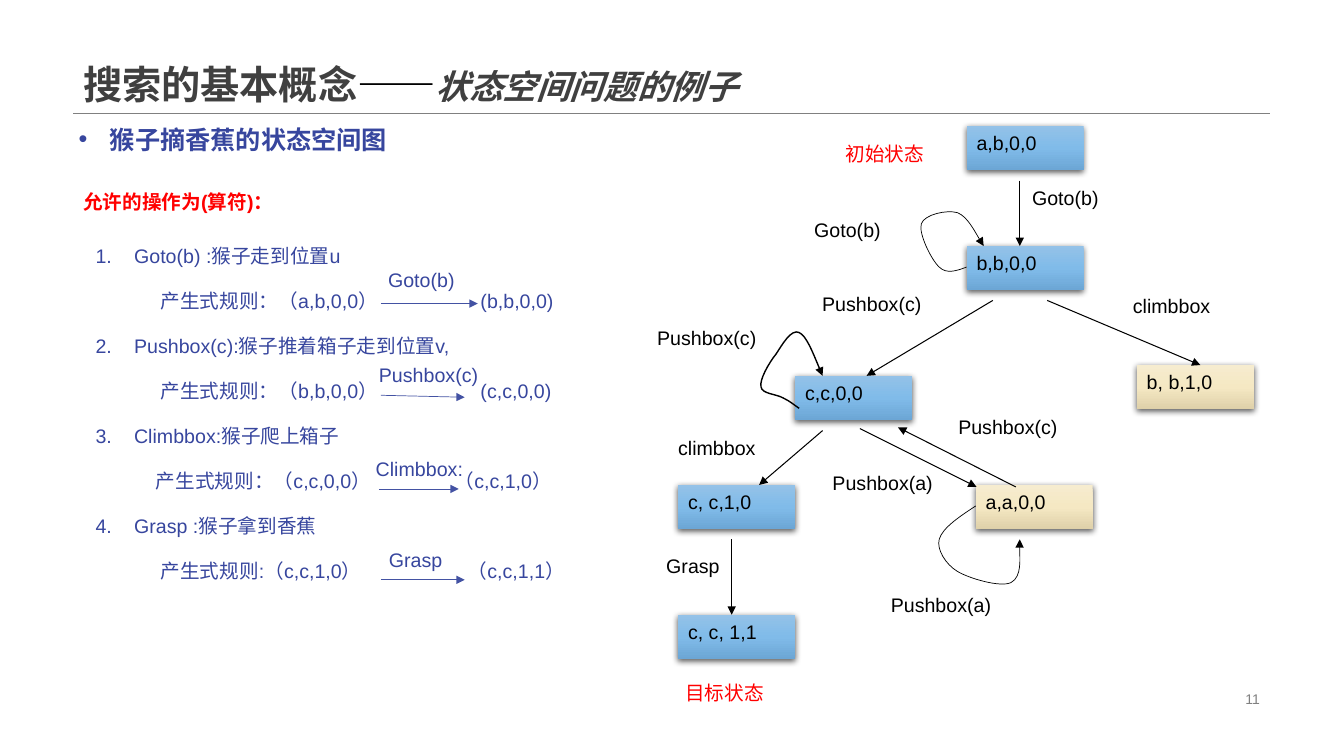
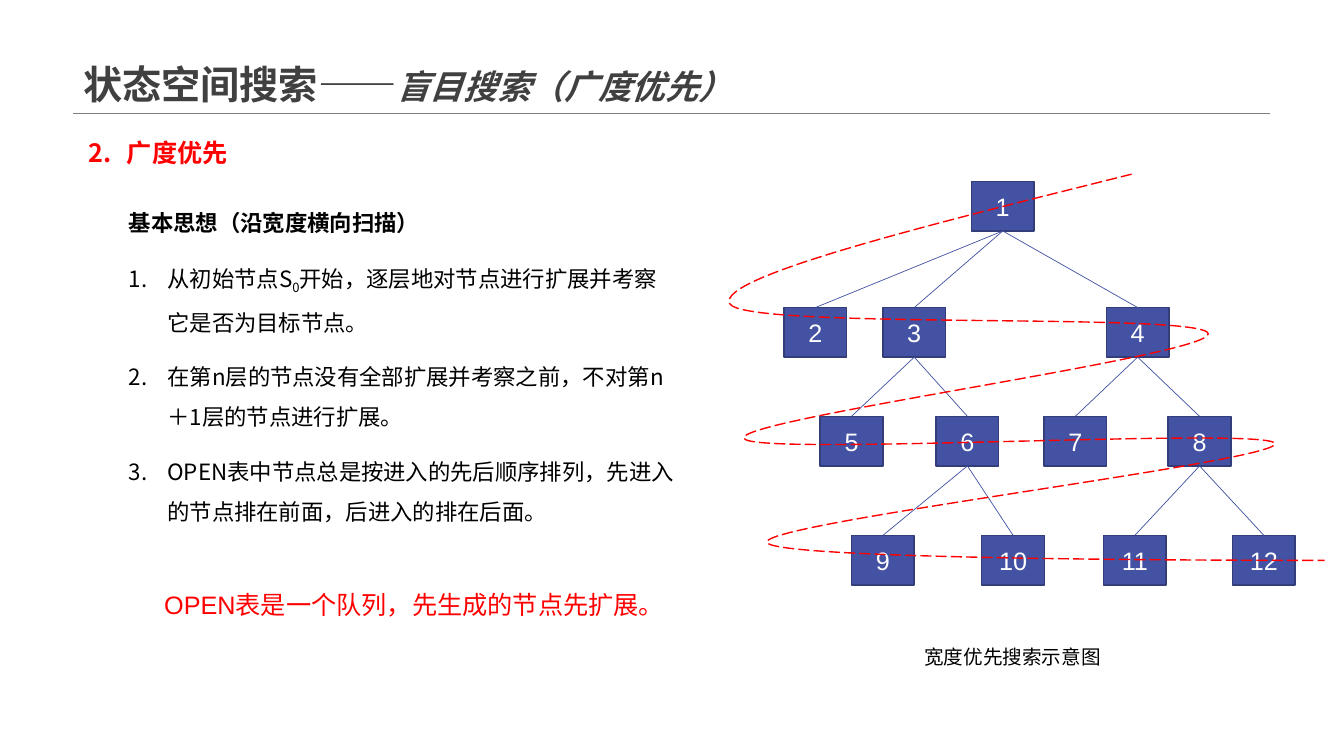
"""Build two slides on state-space search: a state graph and a breadth-first tree."""
from dataclasses import dataclass
from typing import Any, NamedTuple, Optional

from lxml.etree import SubElement
from pptx import Presentation
from pptx.dml.color import RGBColor
from pptx.enum.dml import MSO_LINE
from pptx.enum.lang import MSO_LANGUAGE_ID
from pptx.enum.shapes import MSO_CONNECTOR, MSO_SHAPE
from pptx.enum.text import MSO_ANCHOR, PP_ALIGN
from pptx.oxml.ns import qn
from pptx.util import Cm, Pt


@dataclass(frozen=True)
class Theme:
    black: str = "000000"
    white: str = "FFFFFF"
    gray: str = "808080"
    dark: str = "404040"
    red: str = "FF0000"
    blue: str = "37469E"
    fill: str = "4352A3"
    edge: str = "323D79"
    sky: tuple[str, ...] = ("94C2E8", "80BBE9", "6CA6D5")
    sand: tuple[str, ...] = ("F6ECCF", "F5E8C3", "DED0A9")
    face: str = "Arial"
    noto: str = "Noto Sans CJK SC"
    title: int = 28
    minor: int = 24
    head: int = 18
    body: int = 16
    small: int = 14
    note: int = 10


THEME = Theme()


@dataclass(frozen=True)
class Run:
    text: str
    size: int = THEME.small
    color: str = THEME.black
    bold: bool = False
    italic: bool = False
    face: str = THEME.face
    base: int = 0


@dataclass(frozen=True)
class Para:
    runs: tuple[Run, ...]
    indent: float = 0
    mark: str = ""
    start: int = 1
    lead: float = 1.0
    gap: Optional[int] = None
    half: bool = False
    tabs: tuple[float, ...] = ()
    align: PP_ALIGN = PP_ALIGN.LEFT


class State(NamedTuple):
    text: str
    left: float
    top: float
    tones: tuple[str, ...] = THEME.sky


class Label(NamedTuple):
    text: str
    left: float
    top: float
    color: str = THEME.black


class Curve(NamedTuple):
    width: float
    points: tuple[tuple[float, float], ...]


class Rule(NamedTuple):
    name: str
    before: str
    after: str
    tabs: tuple[float, float]


class Leaf(NamedTuple):
    mid: float
    row: int


STATES = (
    State("a,b,0,0", 24.36, 3.17), State("b,b,0,0", 24.36, 6.2),
    State("b, b,1,0", 28.65, 9.2, THEME.sand), State("c,c,0,0", 20.04, 9.47),
    State("a,a,0,0", 24.59, 12.22, THEME.sand), State("c, c,1,0", 17.09, 12.22),
    State("c, c, 1,1", 17.09, 15.49),
)
LABELS = (
    Label("Goto(b)", 25.76, 4.55), Label("climbbox", 28.3, 7.29),
    Label("Goto(b)", 20.27, 5.36), Label("Grasp", 16.54, 13.84),
    Label("climbbox", 16.84, 10.85), Label("Pushbox(c)", 16.31, 8.1),
    Label("Pushbox(a)", 22.2, 14.81), Label("Pushbox(c)", 23.9, 10.34),
    Label("Pushbox(a)", 20.73, 11.73), Label("Pushbox(c)", 20.47, 7.24),
    Label("初始状态", 21.06, 3.45, THEME.red), Label("目标状态", 17.02, 17.04, THEME.red),
    Label("Goto(b)", 9.53, 6.63, THEME.blue), Label("Pushbox(c)", 9.3, 9.02, THEME.blue),
    Label("Climbbox:", 9.22, 11.4, THEME.blue), Label("Grasp", 9.55, 13.67, THEME.blue),
)
MOVES = (
    (25.7, 4.55, 25.7, 6.2), (25.02, 7.57, 21.84, 9.47), (26.39, 7.57, 30.25, 9.2),
    (25.6, 12.27, 22.63, 10.77), (21.67, 10.8, 24.61, 12.27),
    (18.44, 13.59, 18.44, 15.49), (20.73, 10.85, 19.13, 12.22),
)
YIELDS = (
    (9.6, 7.65, 12.04, 7.65), (9.6, 9.96, 11.71, 10.01),
    (9.55, 12.32, 11.56, 12.32), (9.6, 14.61, 11.71, 14.61),
)
LOOPS = (
    Curve(0.5, (
        (24.36, 6.73), (24.1, 6.83), (23.85, 6.91), (23.67, 6.73),
        (23.47, 6.55), (23.14, 5.87), (23.22, 5.64), (23.29, 5.41), (23.85, 5.28),
        (24.13, 5.36), (24.38, 5.46), (24.69, 6.05), (24.79, 6.2))),
    Curve(0.5, (
        (24.59, 12.75), (24.16, 13.03), (23.75, 13.31), (23.67, 13.59),
        (23.6, 13.84), (23.83, 14.22), (24.13, 14.4), (24.43, 14.58), (25.22, 14.81),
        (25.48, 14.68), (25.76, 14.53), (25.68, 13.77), (25.7, 13.59))),
    Curve(1, (
        (20.14, 10.29), (20.02, 10.21), (19.91, 10.11), (19.74, 10.03),
        (19.58, 9.93), (19.2, 9.93), (19.18, 9.75), (19.13, 9.58), (19.38, 9.14),
        (19.56, 8.92), (19.71, 8.69), (19.94, 8.28), (20.14, 8.38),
        (20.32, 8.46), (20.52, 8.97), (20.73, 9.47))),
)
RULES = (
    Rule("Goto(b) :猴子走到位置u", "：（a,b,0,0）", "(b,b,0,0)", (1.64, 9.7)),
    Rule("Pushbox(c):猴子推着箱子走到位置v,", "：（b,b,0,0）", "(c,c,0,0)", (1.64, 9.7)),
    Rule("Climbbox:猴子爬上箱子", "：（c,c,0,0）", "（c,c,1,0）", (1.52, 9.05)),
    Rule("Grasp :猴子拿到香蕉", ":（c,c,1,0）", "（c,c,1,1）", (1.64, 9.38)),
)
ROWS = (4.57, 7.75, 10.49, 13.49)
LEAVES = (
    Leaf(25.27, 0), Leaf(20.55, 1), Leaf(23.04, 1), Leaf(28.67, 1),
    Leaf(21.46, 2), Leaf(24.38, 2), Leaf(27.1, 2), Leaf(30.23, 2),
    Leaf(22.25, 3), Leaf(25.53, 3), Leaf(28.6, 3), Leaf(31.85, 3),
)
KIDS = {1: (2, 3, 4), 3: (5, 6), 4: (7, 8), 6: (9, 10), 8: (11, 12)}
SWEEP = Curve(1, (
    (28.52, 4.39), (23.29, 5.69), (18.06, 6.99), (18.39, 7.65),
    (18.72, 8.33), (30.38, 7.85), (30.45, 8.41), (30.51, 8.97), (18.47, 10.57),
    (18.75, 11.05), (19.02, 11.51), (32.05, 10.74), (32.13, 11.18),
    (32.23, 11.63), (19.13, 13.18), (19.33, 13.67),
    (19.53, 14.15), (33.38, 14.12), (33.38, 14.12)))


def dress(item: Any, looks: dict[str, Any]) -> None:
    for key, value in looks.items():
        setattr(item, key, value)


def write(frame: Any, paras: tuple[Para, ...], anchor: MSO_ANCHOR = MSO_ANCHOR.TOP) -> None:
    dress(frame, {"word_wrap": True, "vertical_anchor": anchor})
    for rank, para in enumerate(paras):
        line = frame.add_paragraph() if rank else frame.paragraphs[0]
        dress(line, {"alignment": para.align, "line_spacing": para.lead})
        props = line._p.get_or_add_pPr()
        if rank and para.gap:
            line.space_before = Pt(para.gap)
        if rank and para.half:
            SubElement(SubElement(props, qn("a:spcBef")), qn("a:spcPct"), val="50000")
        if para.indent:
            props.set("marL", str(Cm(para.indent)))
            props.set("indent", str(-Cm(para.indent)))
        if para.mark == "•":
            SubElement(props, qn("a:buFont"), typeface=THEME.face)
            SubElement(props, qn("a:buChar"), char=para.mark)
        elif para.mark:
            count = SubElement(props, qn("a:buAutoNum"), type=para.mark)
            if para.start > 1:
                count.set("startAt", str(para.start))
        if para.tabs:
            stops = SubElement(props, qn("a:tabLst"))
            for stop in para.tabs:
                SubElement(stops, qn("a:tab"), pos=str(Cm(stop)), algn="l")
        for part in para.runs:
            run = line.add_run()
            run.text = part.text
            dress(run.font, {"name": part.face, "size": Pt(part.size), "bold": part.bold,
                             "italic": part.italic,
                             "language_id": MSO_LANGUAGE_ID.SIMPLIFIED_CHINESE})
            run.font.color.rgb = RGBColor.from_string(part.color)
            if part.base:
                run._r.get_or_add_rPr().set("baseline", str(part.base * 1000))


def add_text(slide: Any, area: tuple[float, ...], *paras: Para,
             anchor: MSO_ANCHOR = MSO_ANCHOR.TOP) -> None:
    box = slide.shapes.add_textbox(*map(Cm, area))
    write(box.text_frame, paras, anchor)


def stroke(shape: Any, color: str, width: float, arrow: bool = False,
           dash: Optional[MSO_LINE] = None) -> None:
    dress(shape.line, {"width": Pt(width), "dash_style": dash})
    shape.line.color.rgb = RGBColor.from_string(color)
    props = shape._element.spPr
    if arrow:
        SubElement(props.find(qn("a:ln")), qn("a:tailEnd"), type="triangle")
    SubElement(props, qn("a:effectLst"))


def add_line(slide: Any, ends: tuple[float, ...], color: str, width: float,
             arrow: bool = False) -> None:
    line = slide.shapes.add_connector(MSO_CONNECTOR.STRAIGHT, *map(Cm, ends))
    stroke(line, color, width, arrow)


def add_curve(slide: Any, curve: Curve, color: str, arrow: bool = False,
              dash: Optional[MSO_LINE] = None) -> None:
    first, *rest = [(Cm(x), Cm(y)) for x, y in curve.points]
    maker = slide.shapes.build_freeform(*first)
    maker.add_line_segments(rest, close=False)
    shape = maker.convert_to_shape()
    trace = shape._element.spPr.find(".//" + qn("a:path"))
    steps = trace.findall(qn("a:lnTo"))
    for rank in range(0, len(steps), 3):
        bend = SubElement(trace, qn("a:cubicBezTo"))
        for step in steps[rank:rank + 3]:
            bend.append(step[0])
            trace.remove(step)
    shape.fill.background()
    stroke(shape, color, curve.width, arrow, dash)


def add_state(slide: Any, state: State) -> None:
    area = (state.left, state.top, 2.95, 1.12)
    shape = slide.shapes.add_shape(MSO_SHAPE.RECTANGLE, *map(Cm, area))
    shape.fill.gradient()
    shape.fill.gradient_angle = 270
    props = shape._element.spPr
    stops = props.find(".//" + qn("a:gsLst"))
    for old in list(stops):
        stops.remove(old)
    for rank, tone in enumerate(state.tones):
        stop = SubElement(stops, qn("a:gs"), pos=str(rank * 50000))
        SubElement(stop, qn("a:srgbClr"), val=tone)
    shape.line.fill.background()
    shape.shadow.inherit = False
    shade = SubElement(props.find(qn("a:effectLst")), qn("a:outerShdw"), blurRad=str(Pt(4.5)),
                       dist=str(Pt(1.5)), dir="5400000", rotWithShape="0")
    tint = SubElement(shade, qn("a:srgbClr"), val=THEME.black)
    SubElement(tint, qn("a:alpha"), val="63000")
    write(shape.text_frame, (Para((Run(state.text),)),))


def add_page(deck: Any, *title: Run) -> Any:
    slide = deck.slides.add_slide(deck.slide_layouts[6])
    add_line(slide, (1.85, 2.84, 32, 2.84), THEME.gray, 0.25)
    add_text(slide, (1.85, 0, 30.15, 2.84), Para(title, lead=0.9), anchor=MSO_ANCHOR.BOTTOM)
    return slide


def draw_graph(deck: Any) -> None:
    slide = add_page(deck, Run("搜索的基本概念", THEME.title, THEME.dark, True),
                     Run("——", THEME.title, bold=True),
                     Run("状态空间问题的例子", THEME.minor, THEME.dark, True, True))
    add_text(slide, (23.92, 17.32, 8.08, 0.58),
             Para((Run("11", THEME.note, THEME.gray),), align=PP_ALIGN.RIGHT),
             anchor=MSO_ANCHOR.MIDDLE)
    add_text(slide, (1.73, 3, 10, 1.02), Para(
        (Run("猴子摘香蕉的状态空间图", THEME.head, THEME.blue, True),), indent=0.79, mark="•"))
    for state in STATES:
        add_state(slide, state)
    for move in MOVES:
        add_line(slide, move, THEME.black, 0.75, True)
    for loop in LOOPS:
        add_curve(slide, loop, THEME.black, True)
    add_text(slide, (1.85, 4.65, 5.56, 0.86),
             Para((Run("允许的操作为(算符)：", color=THEME.red, bold=True),)))
    paras: list[Para] = []
    for rank, rule in enumerate(RULES, 1):
        text = f"\t产生式规则{rule.before}\t{rule.after}"
        paras += [Para((Run(rule.name, color=THEME.blue),), 0.97, "arabicPeriod", rank, 1.5,
                       half=True),
                  Para((Run(text, color=THEME.blue),), lead=1.5, half=True, tabs=rule.tabs)]
    add_text(slide, (2.16, 5.72, 14.12, 9.42), *paras)
    for ends in YIELDS:
        add_line(slide, ends, THEME.fill, 0.5, True)
    for label in LABELS:
        add_text(slide, (label.left, label.top, 4.3, 0.86),
                 Para((Run(label.text, color=label.color),)))


def draw_tree(deck: Any) -> None:
    slide = add_page(deck, Run("状态空间搜索——", THEME.title, THEME.dark, True),
                     Run("盲目搜索（广度优先）", THEME.minor, THEME.dark, True, True))
    plain = {"size": THEME.body, "face": THEME.noto}
    ideas = (
        (Run("从初始节点S", **plain), Run("0", base=-25, **plain),
         Run("开始，逐层地对节点进行扩展并考察它是否为目标节点。", **plain)),
        (Run("在第n层的节点没有全部扩展并考察之前，不对第n＋1层的节点进行扩展。", **plain),),
        (Run("OPEN表中节点总是按进入的先后顺序排列，先进入的节点排在前面，后进入的排在后面。",
             **plain),),
    )
    add_text(slide, (3, 4.8, 14.27, 11.94),
             Para((Run("基本思想（沿宽度横向扫描）", bold=True, **plain),), lead=1.5),
             *(Para(idea, 0.97, "arabicPeriod", lead=1.5, gap=10) for idea in ideas))
    add_text(slide, (1.98, 3.33, 5.31, 1.02), Para(
        (Run("广度优先", THEME.head, THEME.red, True),), 0.97, "arabicPeriod", 2))
    add_text(slide, (3.89, 14.73, 14, 1.02),
             Para((Run("OPEN表是一个队列，先生成的节点先扩展。", THEME.head, THEME.red),)))
    wide, high = 1.58, 1.25
    for rank, leaf in enumerate(LEAVES, 1):
        area = (leaf.mid - wide / 2, ROWS[leaf.row], wide, high)
        shape = slide.shapes.add_shape(MSO_SHAPE.RECTANGLE, *map(Cm, area))
        shape.fill.solid()
        shape.fill.fore_color.rgb = RGBColor.from_string(THEME.fill)
        stroke(shape, THEME.edge, 1)
        write(shape.text_frame, (Para((Run(str(rank), THEME.head, THEME.white),),
                                      align=PP_ALIGN.CENTER),), MSO_ANCHOR.MIDDLE)
    for root, kids in KIDS.items():
        above = LEAVES[root - 1]
        for kid in kids:
            below = LEAVES[kid - 1]
            add_line(slide, (above.mid, ROWS[above.row] + high, below.mid, ROWS[below.row]),
                     THEME.fill, 0.5)
    add_curve(slide, SWEEP, THEME.red, dash=MSO_LINE.LONG_DASH)
    add_text(slide, (23.04, 16.13, 5.5, 0.86), Para((Run("宽度优先搜索示意图"),)))


def main() -> None:
    deck = Presentation()
    dress(deck, {"slide_width": Cm(33.87), "slide_height": Cm(19.05)})
    draw_graph(deck)
    draw_tree(deck)
    deck.save("out.pptx")


if __name__ == "__main__":
    main()
